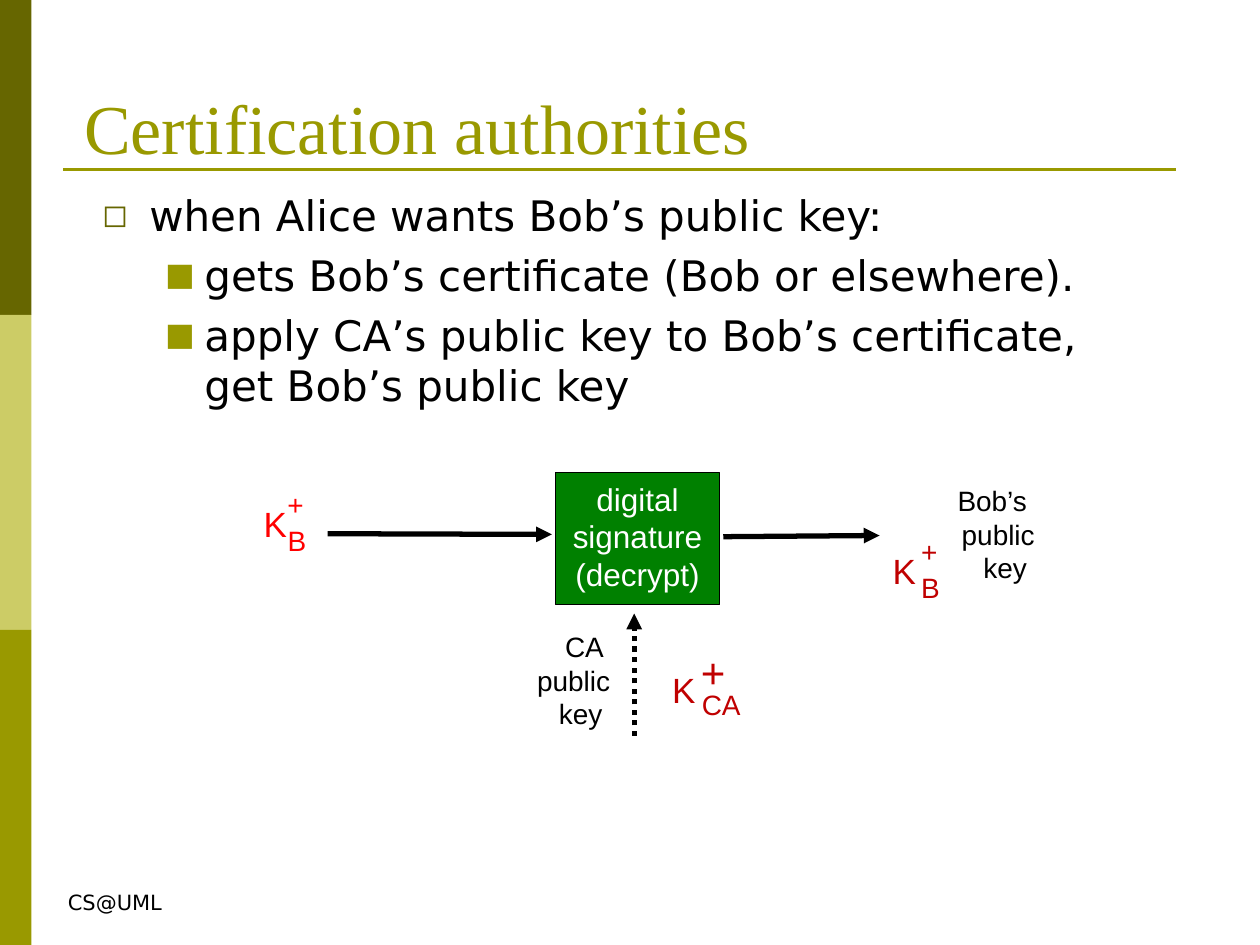
from dataclasses import dataclass

from lxml import etree
from pptx import Presentation
from pptx.dml.color import RGBColor
from pptx.enum.dml import MSO_LINE
from pptx.enum.shapes import MSO_CONNECTOR, MSO_SHAPE
from pptx.enum.text import MSO_ANCHOR, MSO_AUTO_SIZE, PP_ALIGN
from pptx.oxml.ns import qn
from pptx.util import Pt

RECTANGLE = MSO_SHAPE.RECTANGLE
STRAIGHT = MSO_CONNECTOR.STRAIGHT
DOTTED = MSO_LINE.ROUND_DOT
LEFT, CENTER, RIGHT = PP_ALIGN.LEFT, PP_ALIGN.CENTER, PP_ALIGN.RIGHT
BOTTOM, TOP = MSO_ANCHOR.BOTTOM, MSO_ANCHOR.TOP
NO_FIT = MSO_AUTO_SIZE.NONE

BLACK = RGBColor(0x00, 0x00, 0x00)
WHITE = RGBColor(0xFF, 0xFF, 0xFF)
DARK_OLIVE = RGBColor(0x66, 0x66, 0x00)
PALE_OLIVE = RGBColor(0xCC, 0xCC, 0x66)
OLIVE = RGBColor(0x99, 0x99, 0x00)
GREEN = RGBColor(0x00, 0x80, 0x00)
RED = RGBColor(0xFF, 0x00, 0x00)
DARK_RED = RGBColor(0xC0, 0x00, 0x00)

SANS, BODY_FONT, TITLE_FONT = "Arial", "DejaVu Sans", "Times New Roman"


@dataclass(frozen=True)
class Box:
    left: float
    top: float
    width: float
    height: float

    def lengths(self):
        return Pt(self.left), Pt(self.top), Pt(self.width), Pt(self.height)


@dataclass(frozen=True)
class Label:
    lines: tuple[str, ...]
    box: Box
    size: float
    color: RGBColor
    align: PP_ALIGN = CENTER
    font: str = SANS
    wrap: bool = False
    fill: RGBColor | None = None


@dataclass(frozen=True)
class Stroke:
    start: tuple[float, float]
    end: tuple[float, float]
    color: RGBColor = BLACK
    width: float = 3
    arrow: bool = True
    dotted: bool = False


@dataclass(frozen=True)
class Bullet:
    text: str
    level: int
    symbol: str
    color: RGBColor
    margin: float
    hanging: float


def add_run(paragraph, text: str, font: str, size: float, color: RGBColor) -> None:
    run = paragraph.add_run()
    run.text = text
    run.font.name = font
    run.font.size = Pt(size)
    run.font.color.rgb = color


def draw_rectangle(slide, box: Box, fill: RGBColor, border: RGBColor | None = None) -> None:
    rectangle = slide.shapes.add_shape(RECTANGLE, *box.lengths())
    rectangle.shadow.inherit = False
    rectangle.fill.solid()
    rectangle.fill.fore_color.rgb = fill
    if border is None:
        rectangle.line.fill.background()
    else:
        rectangle.line.color.rgb = border
        rectangle.line.width = Pt(0.75)


def draw_label(slide, label: Label) -> None:
    text_box = slide.shapes.add_textbox(*label.box.lengths())
    if label.fill is not None:
        text_box.fill.solid()
        text_box.fill.fore_color.rgb = label.fill
    frame = text_box.text_frame
    frame.word_wrap = label.wrap
    for index, line in enumerate(label.lines):
        paragraph = frame.add_paragraph() if index else frame.paragraphs[0]
        paragraph.alignment = label.align
        add_run(paragraph, line, label.font, label.size, label.color)


def draw_stroke(slide, stroke: Stroke) -> None:
    ends = (Pt(value) for value in stroke.start + stroke.end)
    connector = slide.shapes.add_connector(STRAIGHT, *ends)
    connector.line.color.rgb = stroke.color
    connector.line.width = Pt(stroke.width)
    if stroke.dotted:
        connector.line.dash_style = DOTTED
    properties = connector._element.spPr
    if stroke.arrow:
        etree.SubElement(properties.find(qn("a:ln")), qn("a:tailEnd"), type="triangle")
    etree.SubElement(properties, qn("a:effectLst"))


def place(placeholder, box: Box, anchor: MSO_ANCHOR):
    placeholder.left, placeholder.top, placeholder.width, placeholder.height = box.lengths()
    frame = placeholder.text_frame
    frame.word_wrap = True
    frame.auto_size = NO_FIT
    frame.vertical_anchor = anchor
    return frame


def write_bullet(paragraph, bullet: Bullet, space_before: float) -> None:
    paragraph.level = bullet.level
    properties = paragraph._p.get_or_add_pPr()
    properties.set("marL", str(Pt(bullet.margin)))
    properties.set("indent", str(-Pt(bullet.hanging)))
    bullet_color = etree.SubElement(properties, qn("a:buClr"))
    etree.SubElement(bullet_color, qn("a:srgbClr"), val=str(bullet.color))
    etree.SubElement(properties, qn("a:buSzPct"), val="75000")
    etree.SubElement(properties, qn("a:buFont"), typeface=BODY_FONT)
    etree.SubElement(properties, qn("a:buChar"), char=bullet.symbol)
    paragraph.alignment = LEFT
    paragraph.space_before = Pt(space_before)
    add_run(paragraph, bullet.text, BODY_FONT, 24, BLACK)


BAND_COLORS = (DARK_OLIVE, PALE_OLIVE, OLIVE)
BAND_WIDTH, BAND_HEIGHT = 18, 180

BULLETS = (
    Bullet("when Alice wants Bob’s public key:", 0, "◻", DARK_OLIVE, 27, 27),
    Bullet("gets Bob’s certificate (Bob or elsewhere).", 1, "■", OLIVE, 58.5, 22.5),
    Bullet("apply CA’s public key to Bob’s certificate, get Bob’s public key",
           1, "■", OLIVE, 58.5, 22.5),
)

DECRYPT_FRAME = Box(317.5, 270, 93.6, 75.6)

LABELS = (
    Label(("CS@UML",), Box(31.7, 504.7, 68.4, 21.6), 12, BLACK, LEFT, BODY_FONT),
    Label(("Bob’s ", "public", "key "), Box(522.7, 272.9, 75.6, 64.8), 16, BLACK, RIGHT, wrap=True),
    Label(("K ",), Box(502.6, 310.3, 33.8, 31.7), 20, DARK_RED),
    Label(("B",), Box(519.1, 322.6, 25.2, 26.6), 16, DARK_RED),
    Label(("+",), Box(519.1, 301.7, 23.8, 26.6), 16, DARK_RED),
    Label(("digital", "signature", "(decrypt)"), Box(319.7, 270.5, 89.3, 72.7), 18, WHITE, fill=GREEN),
    Label(("CA ", "public", "key "), Box(280.1, 356.4, 75.6, 64.8), 16, BLACK, RIGHT, wrap=True),
    Label(("K ",), Box(376.6, 378.7, 33.8, 31.7), 20, DARK_RED),
    Label(("CA",), Box(393.8, 389.5, 36.7, 26.6), 16, DARK_RED),
    Label(("+",), Box(393.1, 365.8, 28.8, 36.7), 24, DARK_RED),
    Label(("K ",), Box(143.3, 283.7, 33.8, 31.7), 20, RED, fill=WHITE),
    Label(("B",), Box(157, 295.9, 25.2, 26.6), 16, RED),
    Label(("+",), Box(157, 275, 23.8, 26.6), 16, RED),
)

STROKES = (
    Stroke((36, 97), (672, 97), OLIVE, 1.5, arrow=False),
    Stroke((362.4, 420.5), (362.4, 350.6), dotted=True),
    Stroke((187.2, 305), (315.4, 305.4)),
    Stroke((413.3, 306.7), (502.6, 306)),
)


def main() -> None:
    deck = Presentation()
    deck.slide_width, deck.slide_height = Pt(720), Pt(540)
    slide = deck.slides.add_slide(deck.slide_layouts[1])

    for index, color in enumerate(BAND_COLORS):
        draw_rectangle(slide, Box(0, index * BAND_HEIGHT, BAND_WIDTH, BAND_HEIGHT), color)

    heading = place(slide.shapes.title, Box(41, 10.1, 496.1, 90), BOTTOM).paragraphs[0]
    heading.alignment = LEFT
    add_run(heading, "Certification authorities", TITLE_FONT, 40, OLIVE)

    steps = place(slide.placeholders[1], Box(51.1, 104.4, 608.4, 365.8), TOP)
    for index, bullet in enumerate(BULLETS):
        paragraph = steps.add_paragraph() if index else steps.paragraphs[0]
        write_bullet(paragraph, bullet, 5.6 if index else 0)

    draw_rectangle(slide, DECRYPT_FRAME, GREEN, BLACK)
    for label in LABELS:
        draw_label(slide, label)
    for stroke in STROKES:
        draw_stroke(slide, stroke)

    deck.save("out.pptx")


if __name__ == "__main__":
    main()
